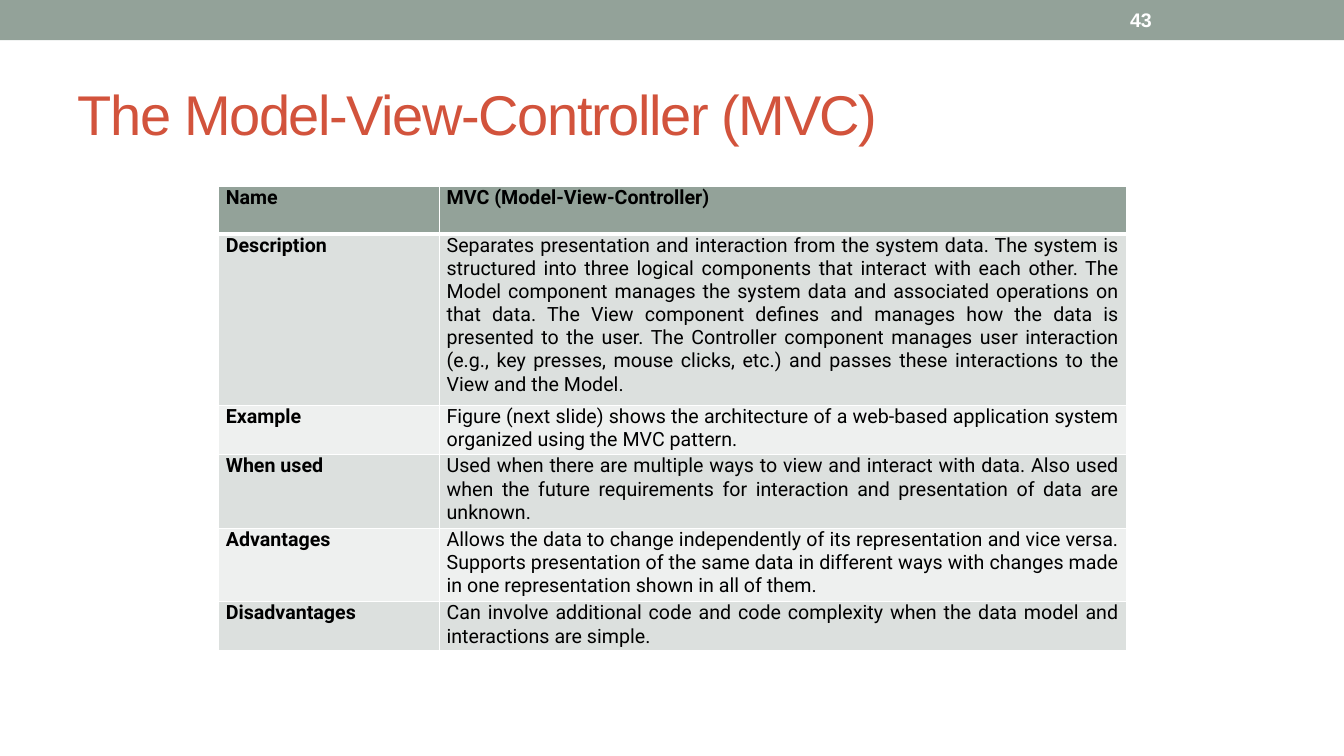
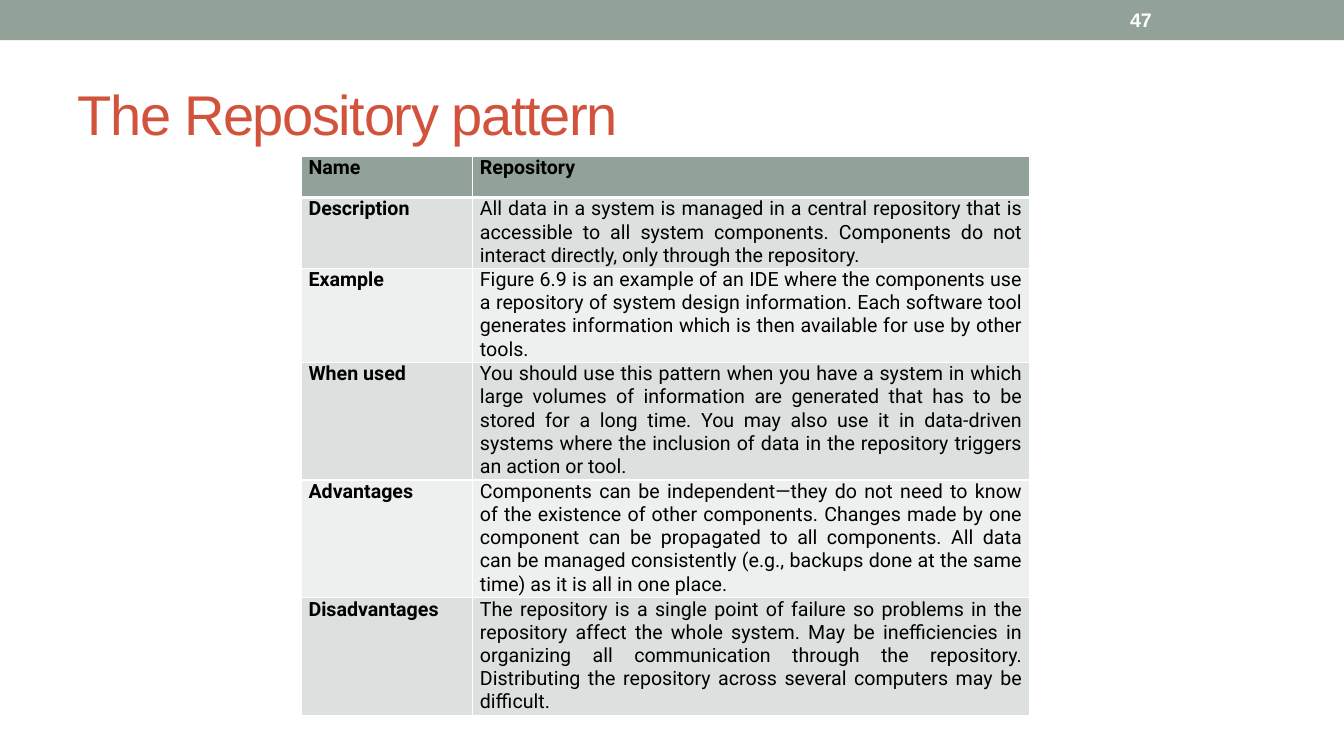
"""Build two slides that describe architectural patterns in tables."""
from lxml import etree
from pptx import Presentation
from pptx import util as u
from pptx.dml.color import RGBColor
from pptx.enum import shapes, text
from pptx.oxml.ns import qn

SAGE = RGBColor(0x93, 0xA2, 0x99)
DARK_ROW = RGBColor(0xDC, 0xE0, 0xDE)
LIGHT_ROW = RGBColor(0xEE, 0xF0, 0xEF)
RED = RGBColor(0xD2, 0x53, 0x3C)
BLACK = RGBColor(0, 0, 0)
WHITE = RGBColor(0xFF, 0xFF, 0xFF)
SLIDE_WIDTH, SLIDE_HEIGHT = 13.33, 7.5
ROW_LABELS = ["Name", "Description", "Example", "When used", "Advantages", "Disadvantages"]

PATTERNS = [
    {
        "title": "The Model-View-Controller (MVC)",
        "number": "43",
        "corner": (2.17, 1.85),
        "columns": [2.19, 6.81],
        "rows": [0.47, 1.7, 0.49, 0.73, 0.73, 0.49],
        "texts": [
            "MVC (Model-View-Controller)",
            "Separates presentation and interaction from the system data. The system is structured "
            "into three logical components that interact with each other. The Model component manages "
            "the system data and associated operations on that data. The View component defines and "
            "manages how the data is presented to the user. The Controller component manages user "
            "interaction (e.g., key presses, mouse clicks, etc.) and passes these interactions to the "
            "View and the Model.",
            "Figure (next slide) shows the architecture of a web-based application system organized "
            "using the MVC pattern.",
            "Used when there are multiple ways to view and interact with data. Also used when the "
            "future requirements for interaction and presentation of data are unknown.",
            "Allows the data to change independently of its representation and vice versa. Supports "
            "presentation of the same data in different ways with changes made in one representation "
            "shown in all of them.",
            "Can involve additional code and code complexity when the data model and interactions are "
            "simple.",
        ],
    },
    {
        "title": "The Repository pattern",
        "number": "47",
        "corner": (2.99, 1.55),
        "columns": [1.7, 5.52],
        "rows": [0.41, 0.69, 0.92, 1.15, 1.15, 1.15],
        "texts": [
            "Repository",
            "All data in a system is managed in a central repository that is accessible to all system "
            "components. Components do not interact directly, only through the repository.",
            "Figure 6.9 is an example of an IDE where the components use a repository of system design "
            "information. Each software tool generates information which is then available for use by "
            "other tools.",
            "You should use this pattern when you have a system in which large volumes of information "
            "are generated that has to be stored for a long time. You may also use it in data-driven "
            "systems where the inclusion of data in the repository triggers an action or tool.",
            "Components can be independent—they do not need to know of the existence of other "
            "components. Changes made by one component can be propagated to all components. All data "
            "can be managed consistently (e.g., backups done at the same time) as it is all in one "
            "place.",
            "The repository is a single point of failure so problems in the repository affect the "
            "whole system. May be inefficiencies in organizing all communication through the "
            "repository. Distributing the repository across several computers may be difficult.",
        ],
    },
]


def place(shape, left, top, width, height):
    shape.left, shape.top = u.Inches(left), u.Inches(top)
    shape.width, shape.height = u.Inches(width), u.Inches(height)


def set_font(paragraph, name, size, color, bold=False):
    font = paragraph.font
    font.name, font.size, font.bold = name, u.Pt(size), bold
    font.color.rgb = color


def add_frame(slide, title_text, number):
    band = slide.shapes.add_shape(shapes.MSO_SHAPE.RECTANGLE, 0, 0,
                                  u.Inches(SLIDE_WIDTH), u.Inches(0.4))
    band.shadow.inherit = False
    band.fill.solid()
    band.fill.fore_color.rgb = SAGE
    band.line.fill.background()

    title = slide.shapes.title
    place(title, 0.67, 0.58, 12, 1.08)
    title.text_frame.text = title_text
    title.text_frame.vertical_anchor = text.MSO_ANCHOR.MIDDLE
    paragraph = title.text_frame.paragraphs[0]
    paragraph.alignment = text.PP_ALIGN.LEFT
    set_font(paragraph, "Arial", 40, RED)
    paragraph.runs[0].font._element.set("spc", "-100")

    number_box = slide.shapes.add_textbox(u.Inches(11.11), u.Inches(0.02),
                                          u.Inches(1.56), u.Inches(0.36))
    frame = number_box.text_frame
    frame.word_wrap = True
    frame.vertical_anchor = text.MSO_ANCHOR.MIDDLE
    frame.text = number
    set_font(frame.paragraphs[0], "Arial", 14, WHITE, bold=True)


def set_borders(cell, widths):
    properties = cell._tc.get_or_add_tcPr()
    for index, (side, width) in enumerate(widths.items()):
        line = etree.Element(qn(f"a:ln{side}"), w=str(u.Pt(width)))
        fill = etree.SubElement(line, qn("a:solidFill"))
        etree.SubElement(fill, qn("a:srgbClr"), val=str(WHITE))
        properties.insert(index, line)


def fill_cell(cell, words, row, column):
    header = row == 0
    cell.text = words
    cell.margin_left = cell.margin_right = u.Inches(0.07)
    cell.margin_top = cell.margin_bottom = 0
    cell.fill.solid()
    cell.fill.fore_color.rgb = SAGE if header else DARK_ROW if row % 2 else LIGHT_ROW
    paragraph = cell.text_frame.paragraphs[0]
    paragraph.alignment = text.PP_ALIGN.JUSTIFY
    set_font(paragraph, "Roboto", 14, BLACK, bold=header or column == 0)
    set_borders(cell, {"L": 1, "R": 1, "T": 3 if row == 1 else 1, "B": 3 if header else 1})


def add_pattern_table(slide, pattern):
    columns, rows = pattern["columns"], pattern["rows"]
    left, top = pattern["corner"]
    table = slide.shapes.add_table(len(rows), len(columns), u.Inches(left), u.Inches(top),
                                   u.Inches(sum(columns)), u.Inches(sum(rows))).table
    for column, width in zip(table.columns, columns):
        column.width = u.Inches(width)
    for row, height in zip(table.rows, rows):
        row.height = u.Inches(height)
    for row, entries in enumerate(zip(ROW_LABELS, pattern["texts"])):
        for column, words in enumerate(entries):
            fill_cell(table.cell(row, column), words, row, column)


def main():
    presentation = Presentation()
    presentation.slide_width = u.Inches(SLIDE_WIDTH)
    presentation.slide_height = u.Inches(SLIDE_HEIGHT)
    title_only = presentation.slide_layouts[5]
    for pattern in PATTERNS:
        slide = presentation.slides.add_slide(title_only)
        add_frame(slide, pattern["title"], pattern["number"])
        add_pattern_table(slide, pattern)
    presentation.save("out.pptx")


if __name__ == "__main__":
    main()
